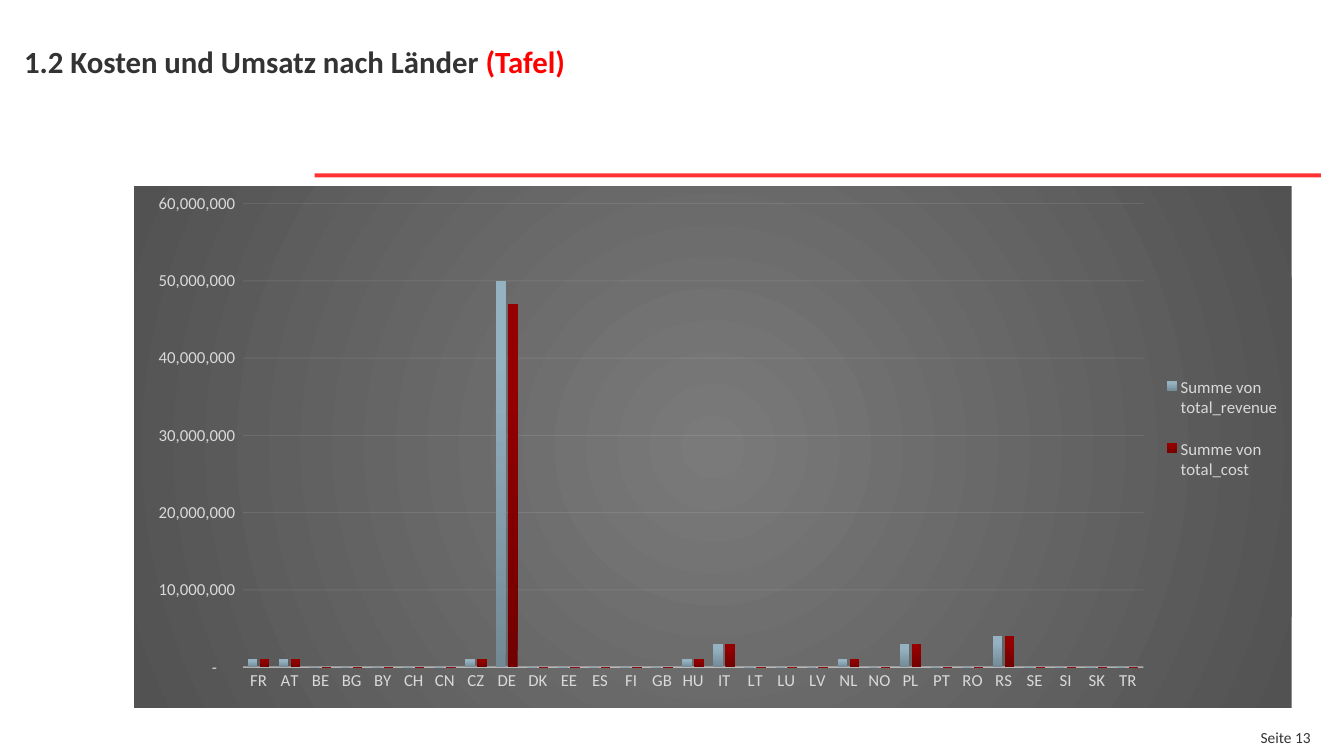
from dataclasses import dataclass

from pptx import Presentation
from pptx.chart.chart import Chart
from pptx.chart.data import CategoryChartData
from pptx.dml.color import RGBColor
from pptx.enum.chart import XL_CHART_TYPE, XL_LEGEND_POSITION, XL_TICK_MARK
from pptx.enum.shapes import MSO_SHAPE
from pptx.enum.text import MSO_ANCHOR, PP_ALIGN
from pptx.oxml import parse_xml
from pptx.oxml.ns import nsdecls
from pptx.slide import Slide
from pptx.util import Pt

EMU_PER_PX = 9144
FONT = "Calibri"
COLORS = {
    "text": "333333",
    "accent": "FF0000",
    "rule": "FF3334",
    "chart_text": "D9D9D9",
    "chart_line": "F2F2F2",
}
COLUMN_CLUSTERED = XL_CHART_TYPE.COLUMN_CLUSTERED
LEGEND_RIGHT = XL_LEGEND_POSITION.RIGHT
NO_TICK = XL_TICK_MARK.NONE
RECTANGLE = MSO_SHAPE.RECTANGLE
ANCHOR_BOTTOM = MSO_ANCHOR.BOTTOM
ALIGN_LEFT, ALIGN_RIGHT = PP_ALIGN.LEFT, PP_ALIGN.RIGHT

NUMBER_FORMAT = '_-* #,##0_-;\\-* #,##0_-;_-* "-"??_-;_-@_'
COUNTRIES = (
    "FR AT BE BG BY CH CN CZ DE DK EE ES FI GB HU "
    "IT LT LU LV NL NO PL PT RO RS SE SI SK TR"
).split()
SHARED_MILLIONS = {"FR": 1, "AT": 1, "CZ": 1, "HU": 1, "IT": 3, "NL": 1, "PL": 3, "RS": 4}
RADIAL = (
    '<a:path path="circle"><a:fillToRect l="50000" t="50000" r="50000" b="50000"/></a:path>'
)
UPWARD = '<a:lin ang="16200000" scaled="0"/>'
BACKGROUND_STOPS = {0: "7A7A7A", 100: "525252"}


@dataclass(frozen=True)
class Box:
    left: int
    top: int
    width: int
    height: int

    def emu(self) -> tuple[int, ...]:
        return tuple(px(v) for v in (self.left, self.top, self.width, self.height))


@dataclass(frozen=True)
class TextRun:
    text: str
    color: str


@dataclass(frozen=True)
class TextBlock:
    box: Box
    runs: tuple[TextRun, ...]
    size: int
    bold: bool
    alignment: PP_ALIGN
    insets: tuple[int, int, int, int]


@dataclass(frozen=True)
class CountrySeries:
    name: str
    millions: dict[str, int]
    stops: dict[int, str]


TEXT_BLOCKS = (
    TextBlock(
        Box(24, 0, 1280, 79),
        (
            TextRun("1.2 Kosten und Umsatz nach Länder ", "text"),
            TextRun("(Tafel)", "accent"),
        ),
        22, True, ALIGN_LEFT, (0, 0, 31, 0),
    ),
    TextBlock(
        Box(1205, 720, 99, 21), (TextRun("Seite 13", "text"),),
        11, False, ALIGN_RIGHT, (4, 4, 4, 0),
    ),
)
RULE = Box(312, 172, 998, 4)
CHART = Box(133, 185, 1148, 517)
PLOT = Box(108, 17, 893, 460)
LEGEND = Box(1018, 168, 122, 145)
SERIES = (
    CountrySeries(
        "Summe von total_revenue",
        {**SHARED_MILLIONS, "DE": 50},
        {0: "738996", 80: "95B2C3", 100: "94B3C5"},
    ),
    CountrySeries(
        "Summe von total_cost",
        {**SHARED_MILLIONS, "DE": 47},
        {0: "720000", 80: "940000", 100: "950000"},
    ),
)


def px(value: int) -> int:
    return value * EMU_PER_PX


def color(name: str) -> RGBColor:
    return RGBColor.from_string(COLORS[name])


def gradient_xml(stops: dict[int, str], direction: str) -> str:
    stop_xml = "".join(
        f'<a:gs pos="{position * 1000}"><a:srgbClr val="{value}"/></a:gs>'
        for position, value in stops.items()
    )
    return f"<a:gradFill {nsdecls('a')}><a:gsLst>{stop_xml}</a:gsLst>{direction}</a:gradFill>"


def add_text(slide: Slide, block: TextBlock) -> None:
    frame = slide.shapes.add_textbox(*block.box.emu()).text_frame
    frame.word_wrap = True
    frame.vertical_anchor = ANCHOR_BOTTOM
    frame.margin_left, frame.margin_top, frame.margin_right, frame.margin_bottom = map(
        px, block.insets
    )
    paragraph = frame.paragraphs[0]
    paragraph.alignment = block.alignment
    paragraph.font.name = FONT
    paragraph.font.size = Pt(block.size)
    paragraph.font.bold = block.bold
    for text_run in block.runs:
        run = paragraph.add_run()
        run.text = text_run.text
        run.font.color.rgb = color(text_run.color)


def add_rule(slide: Slide) -> None:
    shape = slide.shapes.add_shape(RECTANGLE, *RULE.emu())
    shape.shadow.inherit = False
    shape.fill.solid()
    shape.fill.fore_color.rgb = color("rule")
    shape.line.fill.background()


def style_axes(chart: Chart) -> None:
    category_axis, value_axis = chart.category_axis, chart.value_axis
    for axis in (category_axis, value_axis):
        axis.major_tick_mark = axis.minor_tick_mark = NO_TICK
    value_axis.minimum_scale = 0
    value_axis.maximum_scale = 60_000_000
    value_axis.major_unit = 10_000_000
    value_axis.tick_labels.number_format = NUMBER_FORMAT
    value_axis.tick_labels.number_format_is_linked = False
    value_axis.format.line.fill.background()
    lines = (
        (category_axis.format.line, 1, 54, "c:catAx/c:spPr"),
        (value_axis.major_gridlines.format.line, 0.75, 10, "c:valAx/c:majorGridlines"),
    )
    for line, width, opacity, location in lines:
        line.width = Pt(width)
        line.color.rgb = color("chart_line")
        alpha = parse_xml(f'<a:alpha {nsdecls("a")} val="{opacity * 1000}"/>')
        chart.element.xpath(f"c:chart/c:plotArea/{location}//a:srgbClr")[0].append(alpha)


def place_part(chart: Chart, part: str, index: int, box: Box, target: str = "") -> None:
    element = chart.element.xpath(f"c:chart/c:{part}")[0]
    for layout in element.xpath("c:layout"):
        element.remove(layout)
    positions = {
        "x": box.left / CHART.width,
        "y": box.top / CHART.height,
        "w": box.width / CHART.width,
        "h": box.height / CHART.height,
    }
    values = "".join(f'<c:{key} val="{value:.4f}"/>' for key, value in positions.items())
    element.insert(index, parse_xml(
        f'<c:layout {nsdecls("c")}><c:manualLayout>{target}'
        f'<c:xMode val="edge"/><c:yMode val="edge"/>{values}</c:manualLayout></c:layout>'
    ))


def add_country_chart(slide: Slide) -> None:
    data = CategoryChartData(number_format=NUMBER_FORMAT)
    data.categories = COUNTRIES
    for item in SERIES:
        data.add_series(
            item.name,
            [item.millions.get(country, 0) * 1_000_000 for country in COUNTRIES],
        )
    chart = slide.shapes.add_chart(COLUMN_CLUSTERED, *CHART.emu(), data).chart
    chart.has_title = False
    chart.font.name = FONT
    chart.font.size = Pt(12)
    chart.font.color.rgb = color("chart_text")
    chart.has_legend = True
    chart.legend.position = LEGEND_RIGHT
    chart.legend.include_in_layout = False
    plot = chart.plots[0]
    plot.vary_by_categories = False
    plot.gap_width = 100
    plot.overlap = -24
    for series, item in zip(plot.series, SERIES):
        series.format.fill.gradient()
        fill = chart.element.xpath(f"//c:ser[c:idx/@val={series.index}]/c:spPr/a:gradFill")[0]
        fill.getparent().replace(fill, parse_xml(gradient_xml(item.stops, UPWARD)))
    style_axes(chart)
    place_part(chart, "plotArea", 0, PLOT, '<c:layoutTarget val="inner"/>')
    place_part(chart, "legend", 1, LEGEND)
    background = gradient_xml(BACKGROUND_STOPS, RADIAL)
    chart.element.xpath("c:chart")[0].addnext(parse_xml(
        f"<c:spPr {nsdecls('c', 'a')}>{background}<a:ln><a:noFill/></a:ln></c:spPr>"
    ))


def main() -> None:
    presentation = Presentation()
    presentation.slide_width, presentation.slide_height = px(1333), px(750)
    slide = presentation.slides.add_slide(presentation.slide_layouts[6])
    add_rule(slide)
    for block in TEXT_BLOCKS:
        add_text(slide, block)
    add_country_chart(slide)
    presentation.save("out.pptx")


if __name__ == "__main__":
    main()
